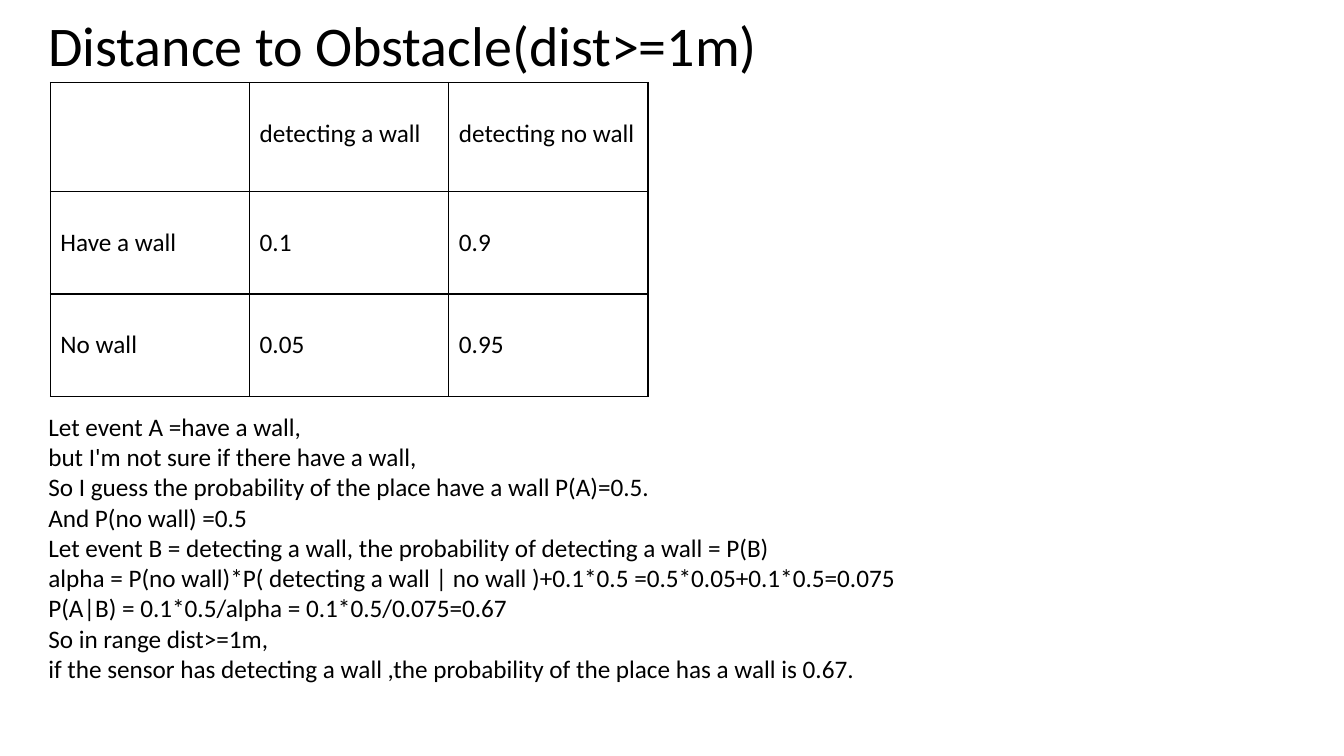
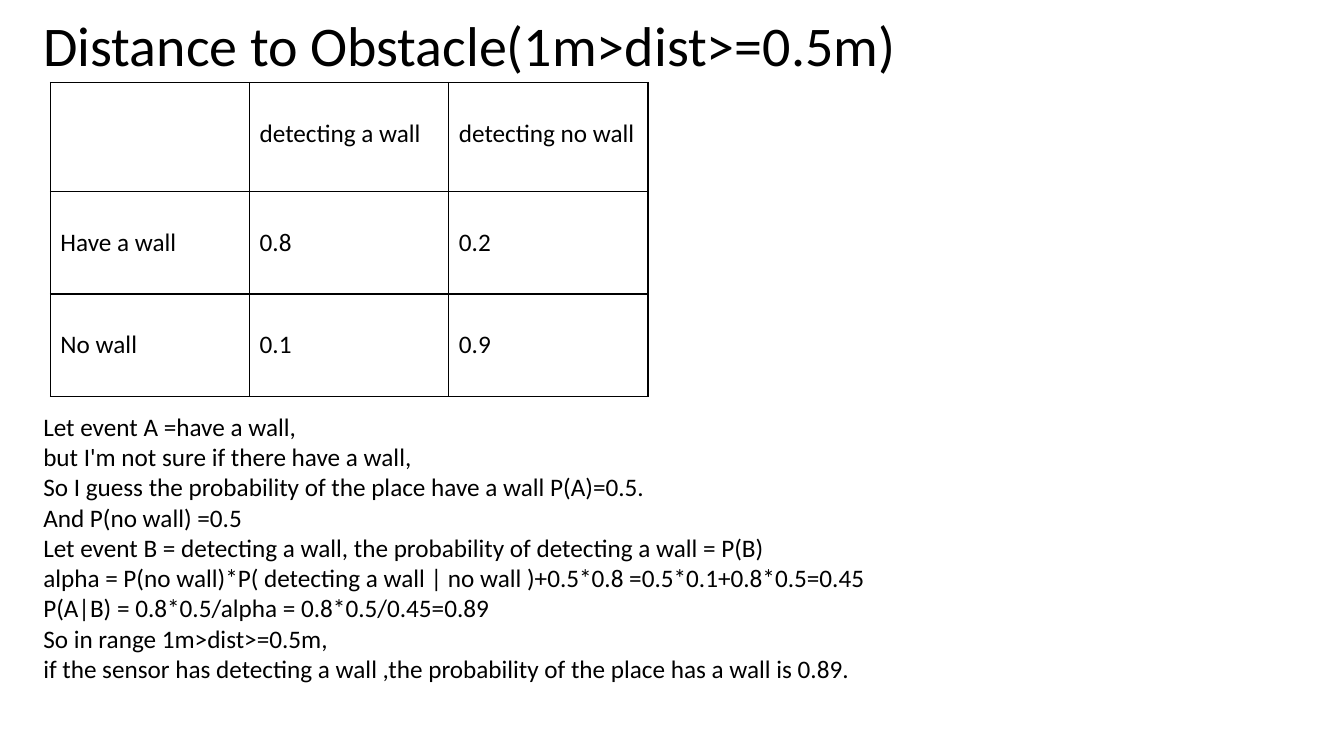
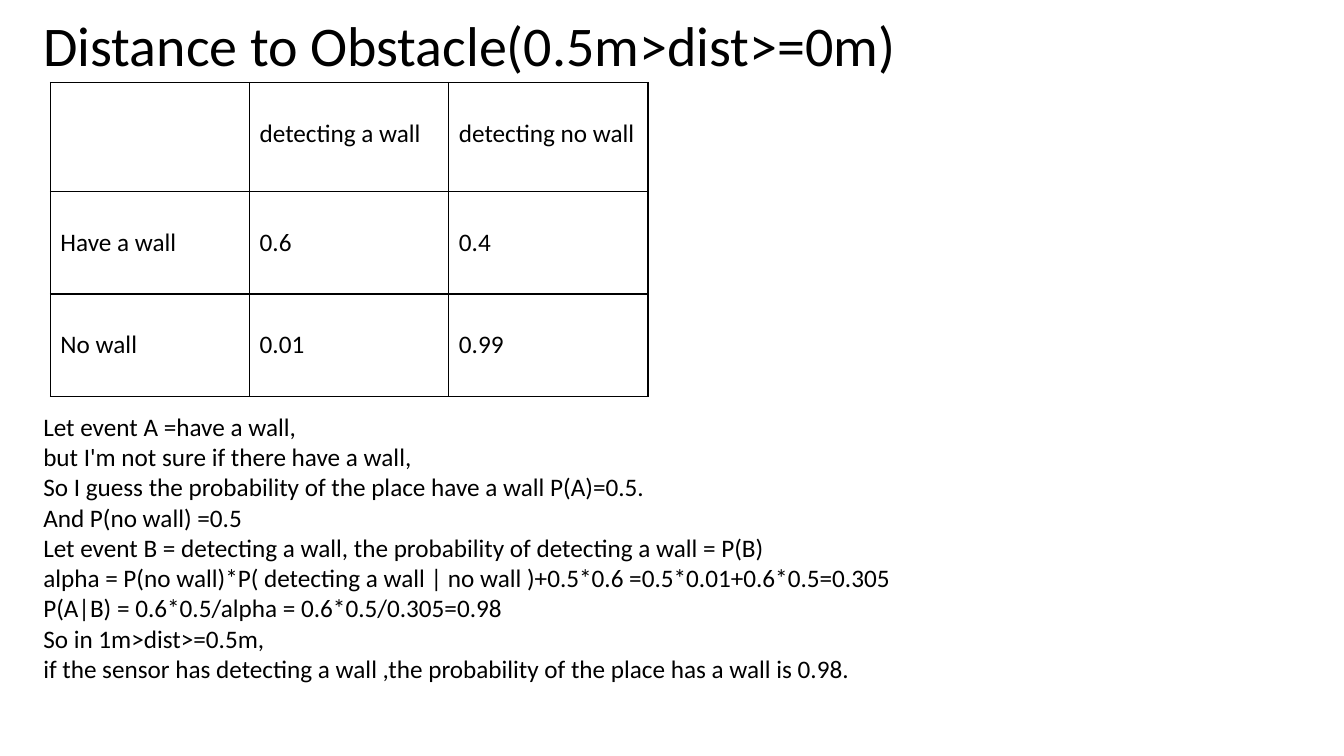
from lxml.etree import SubElement
from pptx import Presentation
from pptx.dml.color import RGBColor
from pptx.enum.text import MSO_ANCHOR, MSO_AUTO_SIZE, PP_ALIGN
from pptx.oxml.ns import qn
from pptx.util import Pt

BLACK = RGBColor(0, 0, 0)
FONT = "Calibri"
TITLE_SIZE, BODY_SIZE = 40, 18

# left edge, distance range, P(detect | wall), P(miss | wall), P(detect | no wall),
# P(miss | no wall), product in alpha, alpha, P(A|B), range in the conclusion
CASES = [
    (27.4, "dist>=1m", "0.1", "0.9", "0.05", "0.95",
     "0.1*0.5", "0.075", "0.67", "range dist>=1m"),
    (23.8, "1m>dist>=0.5m", "0.8", "0.2", "0.1", "0.9",
     "0.5*0.8", "0.45", "0.89", "range 1m>dist>=0.5m"),
    (23.8, "0.5m>dist>=0m", "0.6", "0.4", "0.01", "0.99",
     "0.5*0.6", "0.305", "0.98", "1m>dist>=0.5m"),
]


class Deck:
    """Holds the presentation, its text style and the current slide."""

    def __init__(self):
        self.prs = Presentation()
        self.prs.slide_width, self.prs.slide_height = Pt(960), Pt(540)
        self.slide = None

    def style(self, p, size):
        p.alignment = PP_ALIGN.LEFT
        p.font.name, p.font.size = FONT, Pt(size)
        p.font.color.rgb = BLACK

    def title(self, text, left):
        """Starts a new slide with this title."""
        self.slide = self.prs.slides.add_slide(self.prs.slide_layouts[5])
        sp = self.slide.shapes.title
        sp.left, sp.top, sp.width, sp.height = Pt(left), Pt(3.6), Pt(640), Pt(55.4)
        tf = sp.text_frame
        tf.text = text
        tf.word_wrap = True
        tf.auto_size = MSO_AUTO_SIZE.NONE
        tf.vertical_anchor = MSO_ANCHOR.TOP
        self.style(tf.paragraphs[0], TITLE_SIZE)

    def table(self, rows, left, top, col_width, row_heights):
        n_cols = len(rows[0])
        frame = self.slide.shapes.add_table(
            len(rows), n_cols, Pt(left), Pt(top),
            Pt(col_width * n_cols), Pt(sum(row_heights)))
        table = frame.table
        table.first_row = table.horz_banding = False
        for column in table.columns:
            column.width = Pt(col_width)
        for row, height, texts in zip(table.rows, row_heights, rows):
            row.height = Pt(height)
            for cell, text in zip(row.cells, texts):
                cell.text = text
                cell.margin_top = Pt(25.6)
                self.style(cell.text_frame.paragraphs[0], BODY_SIZE)
                self.borders(cell)
                cell.fill.background()

    def borders(self, cell):
        tc_pr = cell._tc.get_or_add_tcPr()
        for side in ("a:lnL", "a:lnR", "a:lnT", "a:lnB"):
            ln = SubElement(tc_pr, qn(side), w=str(Pt(1)))
            fill = SubElement(ln, qn("a:solidFill"))
            SubElement(fill, qn("a:srgbClr"), val=str(BLACK))

    def text(self, lines, left, top, width, height):
        sp = self.slide.shapes.add_textbox(Pt(left), Pt(top), Pt(width), Pt(height))
        tf = sp.text_frame
        tf.word_wrap = True
        tf.text = "\n".join(lines)
        for p in tf.paragraphs:
            self.style(p, BODY_SIZE)


def main():
    deck = Deck()
    for (left, dist, hit, miss, false_hit, true_miss,
         product, alpha, result, scope) in CASES:
        deck.title(f"Distance to Obstacle({dist})", left)
        deck.table([
            ["", "detecting a wall", "detecting no wall"],
            ["Have a wall", hit, miss],
            ["No wall", false_hit, true_miss],
        ], 36, 59, 142.3, [77.8, 73.2, 73.2])
        deck.text([
            "Let event A =have a wall,",
            "but I'm not sure if there have a wall,",
            "So I guess the probability of the place have a wall P(A)=0.5.",
            "And P(no wall) =0.5",
            "Let event B = detecting a wall, the probability of detecting a wall = P(B)",
            f"alpha = P(no wall)*P( detecting a wall | no wall )+{product} "
            f"=0.5*{false_hit}+{hit}*0.5={alpha}",
            f"P(A|B) = {hit}*0.5/alpha = {hit}*0.5/{alpha}={result}",
            f"So in {scope},",
            "if the sensor has detecting a wall ,the probability of the place "
            f"has a wall is {result}.",
        ], left, 290.2, 790, 225.4)
    deck.prs.save("out.pptx")


if __name__ == "__main__":
    main()
